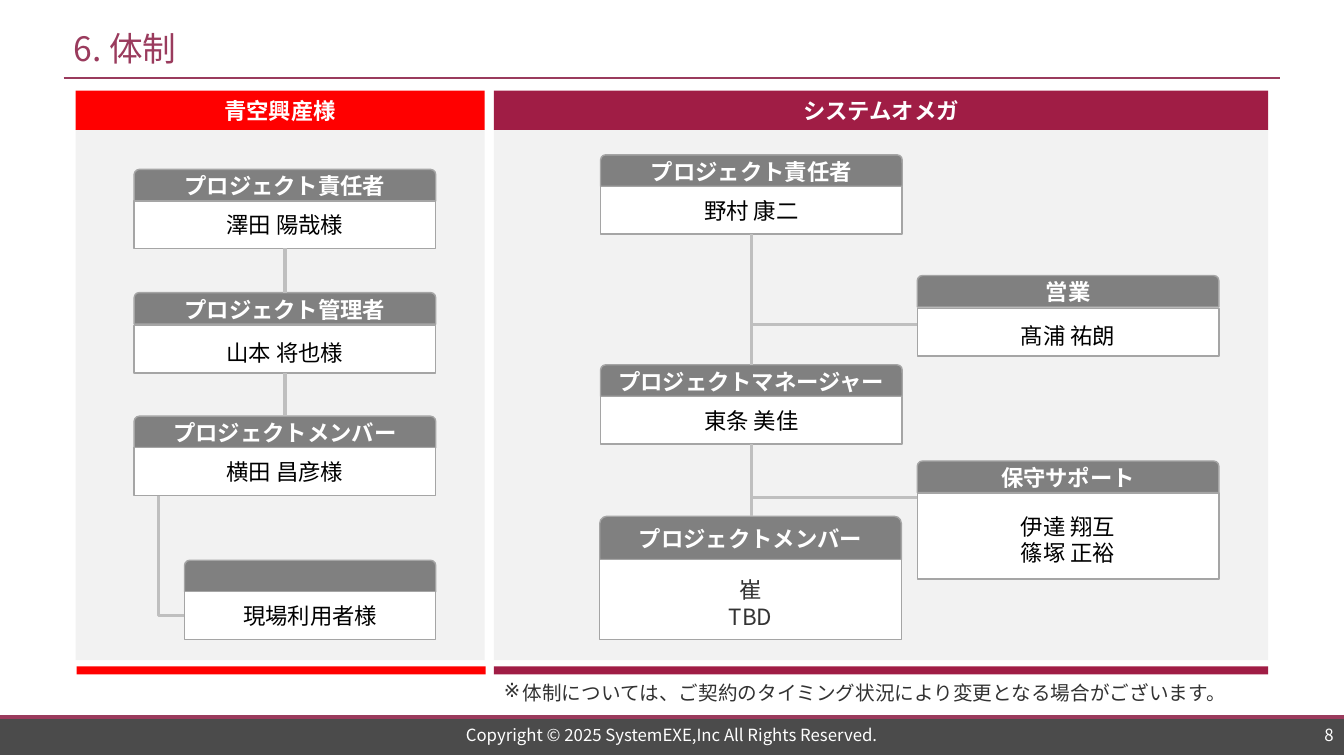
"""Build the project organisation slide with two teams of role cards."""
from lxml.etree import SubElement
from pptx import Presentation
from pptx.dml.color import RGBColor
from pptx.enum.shapes import MSO_CONNECTOR, MSO_SHAPE
from pptx.enum.text import MSO_ANCHOR, PP_ALIGN
from pptx.oxml.ns import qn
from pptx.util import Pt

TITLE = "6. 体制"
NOTE = "体制については、ご契約のタイミング状況により変更となる場合がございます。"
COPY = "Copyright © 2025 SystemEXE,Inc All Rights Reserved."
PAGE = "8"
COLOR = {
    "white": "FFFFFF", "black": "000000", "text": "323232", "soft": "333333",
    "plum": "9A3B5D", "wine": "A01D45", "red": "FF0000", "panel": "F2F2F2",
    "head": "808080", "edge": "A5A5A5", "link": "BFBFBF", "foot": "4B4B4B",
}
SANS, CJK = "Arial", "Noto Sans CJK JP"
TEAMS = [
    ("青空興産様", "red", 54, 292.3, 54.7),
    ("システムオメガ", "wine", 352.8, 553, 352.8),
]
WIDE, HEAD, BODY = 215.5, 22.5, 34
LEFT, MID, SIDE = 95.8, 429, 655.2
CARDS = {
    "owner": dict(role="プロジェクト責任者", names=["澤田 陽哉様"], x=LEFT, y=121, font=CJK),
    "admin": dict(role="プロジェクト管理者", names=["山本 将也様"], x=LEFT, y=209, gap=1, top=8.6),
    "staff": dict(role="プロジェクトメンバー", names=["横田 昌彦様"], x=LEFT, y=297.3),
    "users": dict(role="", names=["現場利用者様"], x=131.8, y=400.2, w=179.5),
    "chief": dict(role="プロジェクト責任者", names=["野村 康二"], x=MID, y=110.6),
    "lead": dict(role="プロジェクトマネージャー", names=["東条 美佳"], x=MID, y=260.6),
    "crew": dict(role="プロジェクトメンバー", names=["崔", "TBD"], x=428.4, y=368.8,
                 head=31, body=57, top=8.6, font=CJK, color="soft"),
    "sales": dict(role="営業", names=["髙浦 祐朗"], x=SIDE, y=196.8, gap=1, top=8.6),
    "help": dict(role="保守サポート", names=["伊達 翔互", "篠塚 正裕"], x=SIDE, y=329.3,
                 gap=0.4, body=61.3, top=8.6, font=CJK),
}
CHAINS = [("owner", "admin", "staff"), ("chief", "lead", "crew")]
BRANCH = [232, 355.5]


def rgb(name):
    return RGBColor.from_string(COLOR[name])


def write(frame, lines, size, color, font=CJK, bold=False, align=PP_ALIGN.CENTER,
          anchor=MSO_ANCHOR.MIDDLE, pad=(7.2, 3.6, 7.2, 3.6), wrap=True, bullet=None):
    frame.word_wrap = wrap
    frame.vertical_anchor = anchor
    frame.margin_left, frame.margin_top, frame.margin_right, frame.margin_bottom = map(Pt, pad)
    for i, line in enumerate(lines):
        para = frame.paragraphs[0] if i == 0 else frame.add_paragraph()
        para.text = line
        para.alignment = align
        if len(lines) > 1:
            para.line_spacing = Pt(19.2)
        props = para._p.get_or_add_pPr()
        if bullet:
            props.set("marL", str(Pt(13.5)))
            props.set("indent", str(-Pt(13.5)))
            SubElement(props, qn("a:buChar"), char=bullet)
        para.font.size = Pt(size)
        para.font.bold = bold
        para.font.color.rgb = rgb(color)
        para.font.name = font
        SubElement(props.find(qn("a:defRPr")), qn("a:ea"), typeface=CJK)


def block(shapes, x, y, w, h, fill, edge=None, kind=MSO_SHAPE.RECTANGLE):
    shape = shapes.add_shape(kind, Pt(x), Pt(y), Pt(w), Pt(h))
    shape.shadow.inherit = False
    shape.fill.solid()
    shape.fill.fore_color.rgb = rgb(fill)
    if edge:
        shape.line.color.rgb = rgb(edge)
        shape.line.width = Pt(1)
    else:
        shape.line.fill.background()
    return shape


def label(shapes, x, y, w, h, text, size, color, **style):
    box = shapes.add_textbox(Pt(x), Pt(y), Pt(w), Pt(h))
    write(box.text_frame, [text], size, color, **style)


def link(shapes, x1, y1, x2, y2, color="link", width=2.25, kind=MSO_CONNECTOR.STRAIGHT):
    line = shapes.add_connector(kind, Pt(x1), Pt(y1), Pt(x2), Pt(y2))
    line.line.color.rgb = rgb(color)
    line.line.width = Pt(width)
    SubElement(line._element.spPr, qn("a:effectLst"))
    return line


def card(shapes, role, names, x, y, w=WIDE, head=HEAD, body=BODY, gap=0,
         top=3.6, font=SANS, color="black"):
    cap = block(shapes, x, y, w, head, "head", "edge", MSO_SHAPE.ROUND_2_SAME_RECTANGLE)
    if role:
        write(cap.text_frame, [role], 16, "white", SANS, True, pad=(2.9, 3.6, 2.9, 3.6))
    base = block(shapes, x, y + head + gap, w, body, "white", "edge")
    write(base.text_frame, names, 16, color, font, pad=(2.9, top, 2.9, 3.6))
    return base


def bend(shapes, x1, y1, x2, y2):
    mx, my = (x1 + x2) / 2, (y1 + y2) / 2
    dx, dy = (y2 - y1) / 2, (x2 - x1) / 2
    line = link(shapes, mx + dx, my - dy, mx - dx, my + dy, kind=MSO_CONNECTOR.ELBOW)
    line.rotation = 270 if hasattr(line, "rotation") else 0
    line._element.spPr.find(qn("a:xfrm")).set("rot", "16200000")
    line._element.spPr.find(qn("a:prstGeom")).set("prst", "bentConnector2")


def main():
    deck = Presentation()
    deck.slide_width, deck.slide_height = Pt(960), Pt(540)
    slide = deck.slides.add_slide(deck.slide_layouts[5])
    shapes = slide.shapes

    title = shapes.title
    title.left, title.top, title.width, title.height = Pt(45.4), Pt(14.4), Pt(869), Pt(39.6)
    write(title.text_frame, [TITLE], 24, "plum", align=PP_ALIGN.LEFT, wrap=False)

    block(shapes, 0, 511.2, 960, 28.1, "foot")
    link(shapes, 0, 511.9, 960, 511.9, "plum", 2.75)
    link(shapes, 45.4, 55.8, 914.4, 55.8, "plum", 1.5)
    label(shapes, 239, 516.2, 481.7, 17.3, COPY, 12, "white")
    label(shapes, 846.7, 516.2, 113, 17.3, PAGE, 12, "white", align=PP_ALIGN.RIGHT)
    label(shapes, 352.8, 483.1, 561.6, 31.7, NOTE, 14, "text",
          align=PP_ALIGN.LEFT, anchor=MSO_ANCHOR.TOP, bullet="※")

    for name, color, x, w, foot in TEAMS:
        block(shapes, x, 92.2, w, 379.4, "panel")
        band = block(shapes, x, 64.8, w, 28, color)
        write(band.text_frame, [name], 16, "white", SANS, True)
        block(shapes, foot, 476, w, 5.8, color)

    axis = MID + WIDE / 2
    for y in BRANCH:
        link(shapes, SIDE, y, axis - 1, y)
    bend(shapes, 113.2, 354, 131.8, 439.8)

    bases = {key: card(shapes, **spec) for key, spec in CARDS.items()}
    for chain in CHAINS:
        for upper, lower in zip(chain, chain[1:]):
            x = CARDS[upper]["x"] + WIDE / 2
            line = link(shapes, x, 0, x, CARDS[lower]["y"])
            line.begin_connect(bases[upper], 2)

    deck.save("out.pptx")


if __name__ == "__main__":
    main()
